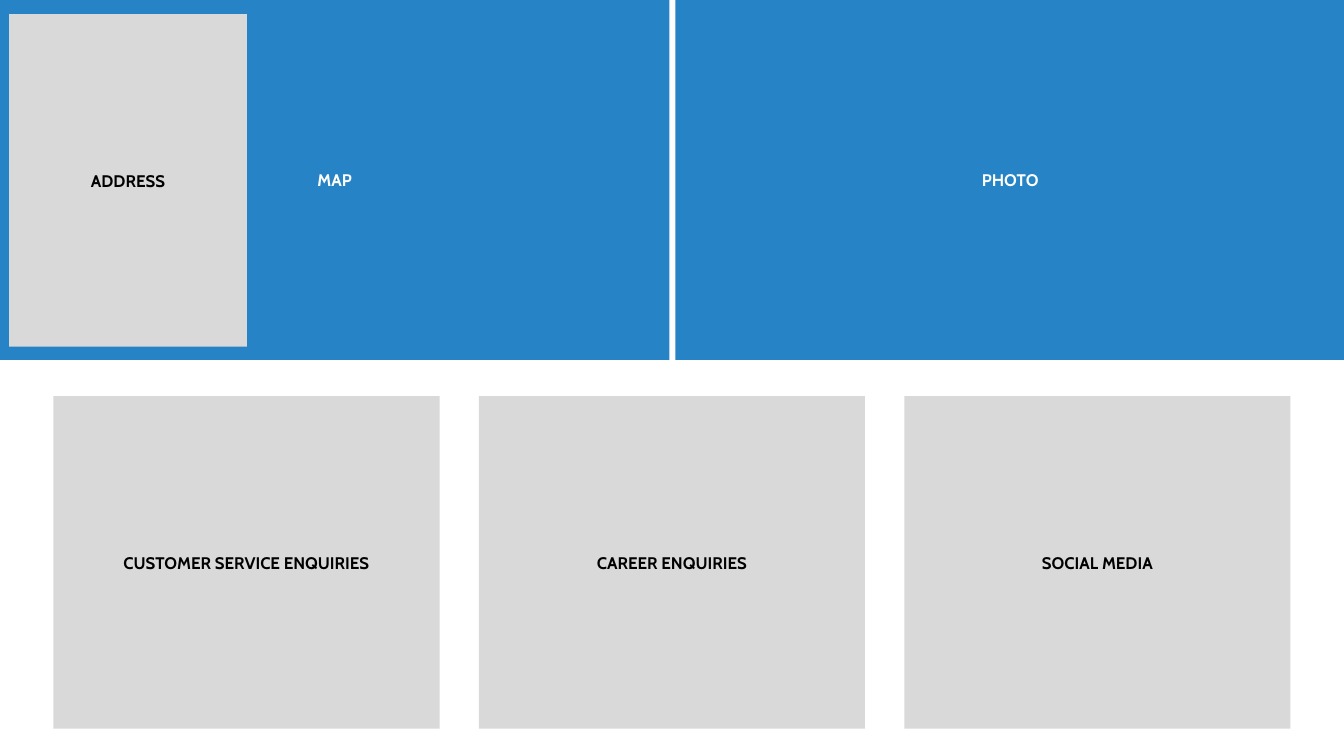
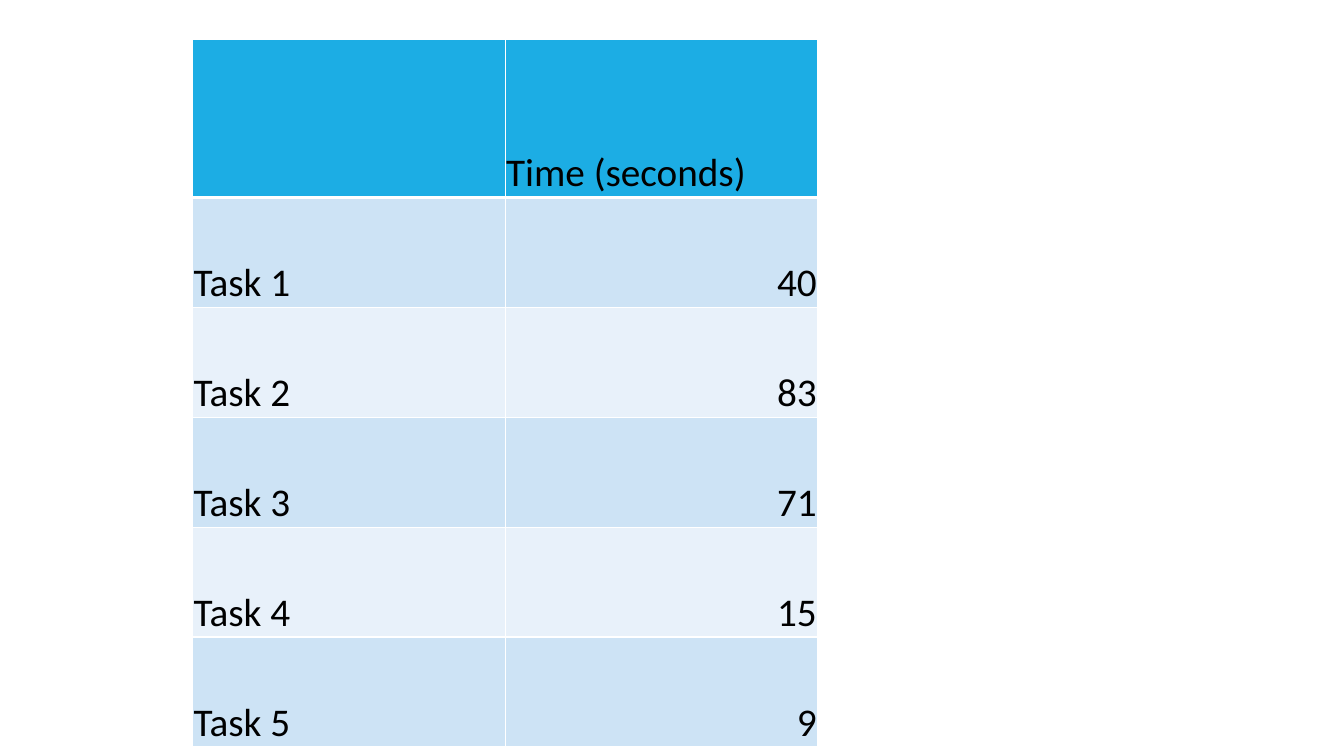
from lxml import etree
from pptx import Presentation
from pptx.dml.color import RGBColor
from pptx.enum.shapes import MSO_SHAPE
from pptx.enum.text import MSO_ANCHOR, PP_ALIGN
from pptx.oxml.ns import qn
from pptx.util import Inches, Pt

RECT = MSO_SHAPE.RECTANGLE
MIDDLE, BOTTOM = MSO_ANCHOR.MIDDLE, MSO_ANCHOR.BOTTOM
LEFT, CENTER, RIGHT = PP_ALIGN.LEFT, PP_ALIGN.CENTER, PP_ALIGN.RIGHT

COLORS = {
    "white": "FFFFFF",
    "black": "000000",
    "blue": "2683C6",
    "grey": "D9D9D9",
    "header": "1CADE4",
    "band_dark": "CDE3F5",
    "band_light": "E8F1FA",
}


def rgb(name):
    return RGBColor.from_string(COLORS[name])


class Deck:
    """Holds the presentation, its style and the current slide."""

    label_font, label_size = "Cabin", 12
    table_font, table_size = "Calibri", 28

    def __init__(self):
        self.prs = Presentation()
        self.prs.slide_width = Inches(13.33)
        self.prs.slide_height = Inches(7.5)
        self.slide = None

    def new_slide(self):
        self.slide = self.prs.slides.add_slide(self.prs.slide_layouts[6])

    def set_text(self, tf, text, font, size, color, bold, align):
        p = tf.paragraphs[0]
        p.text = text
        p.alignment = align
        p.font.name = font
        p.font.size = Pt(size)
        p.font.bold = bold
        p.font.color.rgb = rgb(color)

    def block(self, text, x, y, w, h, fill="grey", color="black"):
        """Add a borderless rectangle with a centred label."""
        sp = self.slide.shapes.add_shape(
            RECT, Inches(x), Inches(y), Inches(w), Inches(h))
        sp.shadow.inherit = False
        sp.fill.solid()
        sp.fill.fore_color.rgb = rgb(fill)
        sp.line.fill.background()
        tf = sp.text_frame
        tf.word_wrap = True
        tf.vertical_anchor = MIDDLE
        self.set_text(tf, text, self.label_font, self.label_size, color, True, CENTER)

    def borders(self, cell, bottom):
        """Draw white cell borders, 1 pt except for the given bottom width."""
        tc_pr = cell._tc.get_or_add_tcPr()
        for side, width in (("L", 1), ("R", 1), ("T", 1), ("B", bottom)):
            ln = etree.SubElement(tc_pr, qn("a:ln" + side), w=str(Pt(width)))
            fill = etree.SubElement(ln, qn("a:solidFill"))
            etree.SubElement(fill, qn("a:srgbClr"), val=COLORS["white"])

    def table(self, rows, x, y, col_w, header_h, row_h):
        n_cols = len(rows[0])
        height = header_h + row_h * (len(rows) - 1)
        table = self.slide.shapes.add_table(
            len(rows), n_cols, Inches(x), Inches(y),
            Inches(col_w * n_cols), Inches(height)).table
        for col in table.columns:
            col.width = Inches(col_w)
        for i, values in enumerate(rows):
            table.rows[i].height = Inches(row_h if i else header_h)
            band = ("band_dark" if i % 2 else "band_light") if i else "header"
            for j, value in enumerate(values):
                cell = table.cell(i, j)
                self.borders(cell, 1 if i else 3)
                cell.fill.solid()
                cell.fill.fore_color.rgb = rgb(band)
                cell.vertical_anchor = BOTTOM
                cell.margin_left = cell.margin_right = cell.margin_top = Inches(0.01)
                cell.margin_bottom = 0
                self.set_text(cell.text_frame, str(value), self.table_font,
                              self.table_size, "black", False,
                              RIGHT if isinstance(value, int) else LEFT)


def contact_slide(deck):
    deck.new_slide()
    for x, label in ((0, "MAP"), (6.7, "PHOTO")):
        deck.block(label, x, 0, 6.64, 3.57, "blue", "white")
    deck.block("ADDRESS", 0.09, 0.14, 2.36, 3.3)
    sections = ("CUSTOMER SERVICE ENQUIRIES", "CAREER ENQUIRIES", "SOCIAL MEDIA")
    for i, label in enumerate(sections):
        deck.block(label, 0.53 + i * 4.22, 3.93, 3.83, 3.3)


def timing_slide(deck):
    deck.new_slide()
    times = (40, 83, 71, 15, 9)
    rows = [("", "Time (seconds)")]
    rows += [(f"Task {n}", time) for n, time in enumerate(times, 1)]
    deck.table(rows, 1.91, 0.39, 3.1, 1.57, 1.09)


def main():
    deck = Deck()
    contact_slide(deck)
    timing_slide(deck)
    deck.prs.save("out.pptx")


if __name__ == "__main__":
    main()
